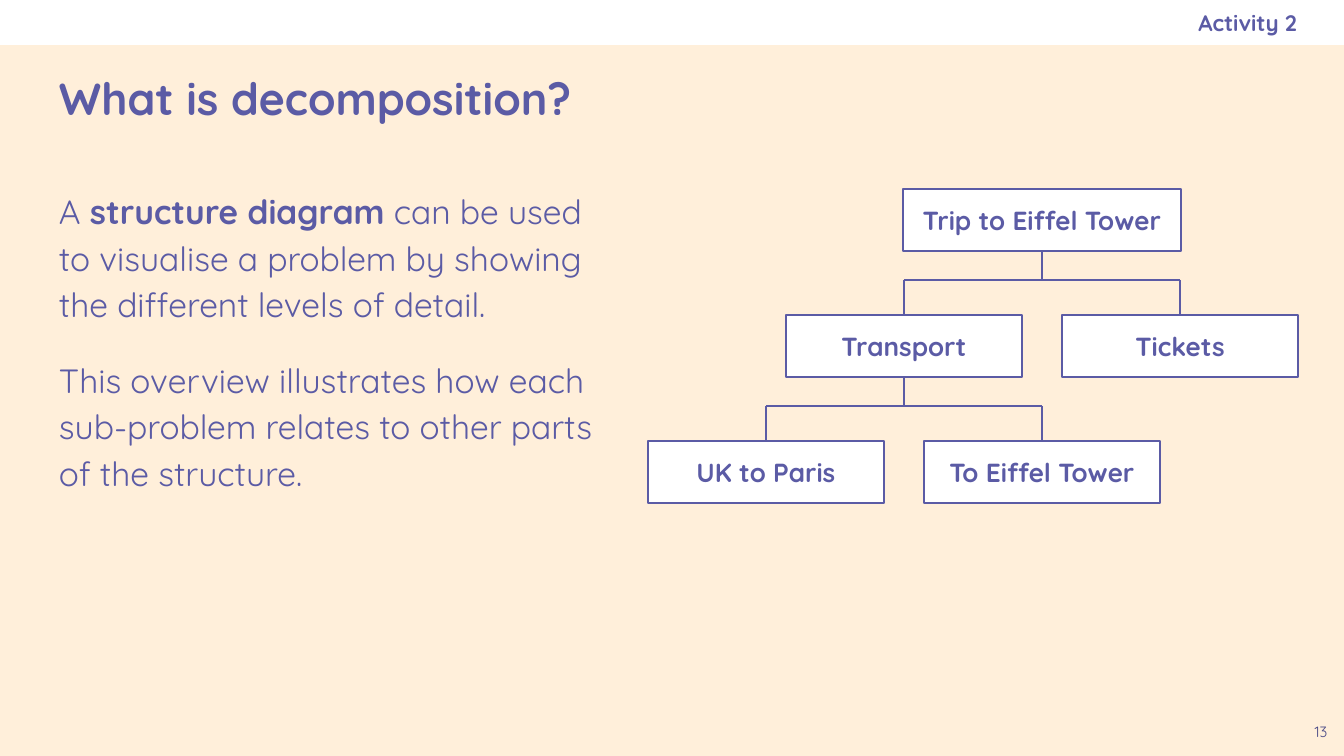
"""Build the slide that explains decomposition with a structure diagram."""
import pptx
import pptx.dml.color
import pptx.enum.shapes
import pptx.enum.text
import pptx.oxml
import pptx.oxml.ns
import pptx.util

SCALE = 914400 / 134.4
COLORS = {"cream": "FFEFDA", "white": "FFFFFF", "purple": "5B5BA5", "dark": "494985"}
ALIGN = pptx.enum.text.PP_ALIGN
ANCHOR = pptx.enum.text.MSO_ANCHOR
RECTANGLE = pptx.enum.shapes.MSO_SHAPE.RECTANGLE
STRAIGHT = pptx.enum.shapes.MSO_CONNECTOR.STRAIGHT


def px(*lengths):
    return [pptx.util.Emu(round(length * SCALE)) for length in lengths]


def write_text(shape, paragraphs, size, color="purple", align=ALIGN.LEFT, anchor=ANCHOR.MIDDLE,
               right=13, line_spacing=1.0, gap=0):
    frame = shape.text_frame
    margin, right_margin = px(13, right)
    frame_format = {"word_wrap": True, "auto_size": pptx.enum.text.MSO_AUTO_SIZE.NONE,
                    "vertical_anchor": anchor, "margin_left": margin, "margin_top": margin,
                    "margin_right": right_margin, "margin_bottom": margin}
    for name, value in frame_format.items():
        setattr(frame, name, value)
    for index, runs in enumerate(paragraphs):
        paragraph = frame.paragraphs[0] if index == 0 else frame.add_paragraph()
        properties = paragraph._p.get_or_add_pPr()
        properties.set("marL", "0")
        properties.set("indent", "0")
        properties.append(pptx.oxml.parse_xml(f"<a:buNone {pptx.oxml.ns.nsdecls('a')}/>"))
        space = pptx.util.Pt(gap if index else 0)
        paragraph_format = {"alignment": align, "line_spacing": line_spacing,
                            "space_before": space, "space_after": space}
        for name, value in paragraph_format.items():
            setattr(paragraph, name, value)
        for text, bold in runs:
            run = paragraph.add_run()
            run.text = text
            font_format = {"name": "Quicksand", "size": pptx.util.Pt(size), "bold": bold}
            for name, value in font_format.items():
                setattr(run.font, name, value)
            run.font.color.rgb = palette[color]


palette = {name: pptx.dml.color.RGBColor.from_string(value) for name, value in COLORS.items()}
presentation = pptx.Presentation()
presentation.slide_width, presentation.slide_height = px(1344, 756)
slide = presentation.slides.add_slide(presentation.slide_layouts[1])
slide.background.fill.solid()
slide.background.fill.fore_color.rgb = palette["cream"]

header = slide.shapes.add_shape(RECTANGLE, *px(0, 0, 1344, 45))
header.shadow.inherit = False
header.fill.solid()
header.fill.fore_color.rgb = palette["white"]
header.line.fill.background()

title, body = slide.placeholders
title.left, title.top, title.width, title.height = px(46, 47, 1253, 102)
body.left, body.top, body.width, body.height = px(46, 172, 562, 538)
write_text(title, [[("What is decomposition?", True)]], 24)
write_text(body, [
    [("A ", False), ("structure diagram", True),
     (" can be used to visualise a problem by showing the different levels of detail.", False)],
    [("This overview illustrates how each sub-problem relates to other parts of the structure.",
      False)],
], 18, anchor=ANCHOR.TOP, line_spacing=1.15, gap=16)

activity = slide.shapes.add_textbox(*px(773, 0, 524, 45))
write_text(activity, [[("Activity 2", True)]], 12, align=ALIGN.RIGHT, right=0)
slide_number = slide.shapes.add_textbox(*px(1298, 710, 46, 46))
write_text(slide_number, [[("13", False)]], 8, "dark", ALIGN.CENTER, ANCHOR.TOP)

first_top, level_step, box_height, stem = 189, 126, 62, 29
half_spread = 138
nodes = [
    ("Trip to Eiffel Tower", 1042, 0, 278, True),
    ("Transport", 904, 1, 236, True),
    ("Tickets", 1180, 1, 236, False),
    ("UK to Paris", 766, 2, 236, False),
    ("To Eiffel Tower", 1042, 2, 236, False),
]
for label, center, level, width, has_children in nodes:
    top = first_top + level * level_step
    box = slide.shapes.add_shape(RECTANGLE, *px(center - width / 2, top, width, box_height))
    box.shadow.inherit = False
    box.fill.solid()
    box.fill.fore_color.rgb = palette["white"]
    box.line.color.rgb = palette["purple"]
    box.line.width = pptx.util.Pt(0.75)
    write_text(box, [[(label, True)]], 14, align=ALIGN.CENTER)
    if not has_children:
        continue
    bottom, branch, child_top = top + box_height, top + box_height + stem, top + level_step
    left, right = center - half_spread, center + half_spread
    branches = [
        (center, bottom, center, branch),
        (left, branch, right, branch),
        (left, branch, left, child_top),
        (right, branch, right, child_top),
    ]
    for ends in branches:
        connector = slide.shapes.add_connector(STRAIGHT, *px(*ends))
        connector.line.color.rgb = palette["purple"]
        connector.line.width = pptx.util.Pt(1.5)
        connector._element.spPr.append(
            pptx.oxml.parse_xml(f"<a:effectLst {pptx.oxml.ns.nsdecls('a')}/>"))

presentation.save("out.pptx")
